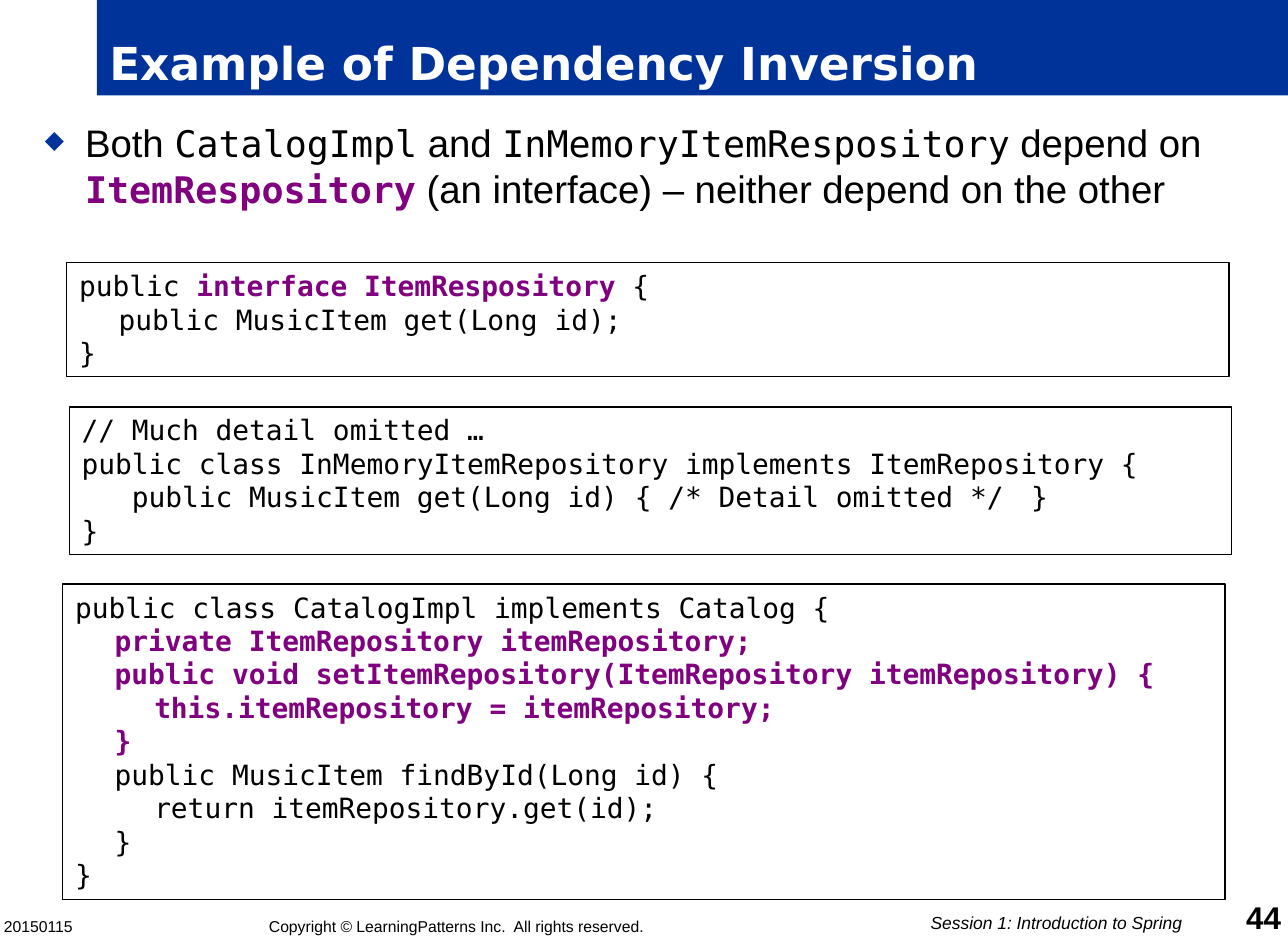
import dataclasses

import pptx
import pptx.dml.color
import pptx.enum.shapes
import pptx.enum.text
import pptx.oxml
import pptx.oxml.ns
import pptx.slide
import pptx.text.text
import pptx.util

Cm = pptx.util.Cm
Align = pptx.enum.text.PP_ALIGN
Anchor = pptx.enum.text.MSO_ANCHOR
Color = pptx.dml.color.RGBColor

BLUE = Color(0x00, 0x33, 0x99)
PURPLE = Color(0x80, 0x00, 0x80)
BLACK = Color(0x00, 0x00, 0x00)
WHITE = Color(0xFF, 0xFF, 0xFF)

SANS = "Arial"
HEAD = "DejaVu Sans"
MONO = "DejaVu Sans Mono"

CODE_WIDTH = 23.5
LINE_STEP = 0.68
CODE_PAD = 0.26
TAB_STEP = 0.8
TAB_STOPS = (1, 2, 24)


@dataclasses.dataclass(frozen=True)
class Style:
    face: str
    size: float
    tint: Color = BLACK
    bold: bool = False
    slant: bool = False


@dataclasses.dataclass(frozen=True)
class Run:
    text: str
    style: Style


@dataclasses.dataclass(frozen=True)
class Panel:
    left: float
    top: float
    lines: list[list[Run]]


@dataclasses.dataclass(frozen=True)
class Label:
    run: Run
    left: float
    top: float
    width: float
    height: float
    align: Align
    anchor: Anchor = Anchor.BOTTOM


PROSE = Style(SANS, 22)
TERM = Style(MONO, 21)
KEY_TERM = Style(MONO, 21, PURPLE, True)
CODE = Style(MONO, 16)
KEY_CODE = Style(MONO, 16, PURPLE, True)
SMALL = Style(SANS, 9)

TITLE = Run("Example of Dependency Inversion", Style(HEAD, 26, WHITE, True))

POINT = [
    Run("Both ", PROSE),
    Run("CatalogImpl", TERM),
    Run(" and ", PROSE),
    Run("InMemoryItemRespository", TERM),
    Run(" depend on ", PROSE),
    Run("ItemRespository", KEY_TERM),
    Run(" (an interface) – neither depend on the other", PROSE),
]


def code(*lines: str, style: Style = CODE) -> list[list[Run]]:
    return [[Run(line, style)] for line in lines]


PANELS = [
    Panel(1.35, 5.31, [
        [Run("public ", CODE), Run("interface ItemRespository", KEY_CODE), Run(" {", CODE)],
        *code("\tpublic MusicItem get(Long id);", "}"),
    ]),
    Panel(1.4, 8.23, code(
        "// Much detail omitted …",
        "public class InMemoryItemRepository implements ItemRepository {",
        "   public MusicItem get(Long id) { /* Detail omitted */\t}",
        "}",
    )),
    Panel(1.27, 11.81, [
        *code("public class CatalogImpl implements Catalog {"),
        *code(
            "\tprivate ItemRepository itemRepository;",
            "\tpublic void setItemRepository(ItemRepository itemRepository) {",
            "\t\tthis.itemRepository = itemRepository;",
            "\t}",
            style=KEY_CODE,
        ),
        *code(
            "\tpublic MusicItem findById(Long id) {",
            "\t\treturn itemRepository.get(id);",
            "\t}",
            "}",
        ),
    ]),
]

LABELS = [
    Label(Run("Session 1: Introduction to Spring", Style(SANS, 10, slant=True)),
          18.08, 18.44, 6.55, 0.58, Align.CENTER, Anchor.TOP),
    Label(Run("20150115", SMALL), 0.08, 18.29, 2.62, 0.64, Align.LEFT),
    Label(Run("Copyright © LearningPatterns Inc.  All rights reserved.", SMALL),
          3.51, 18.29, 11.43, 0.64, Align.CENTER),
    Label(Run("44", Style(SANS, 18, bold=True)), 24.38, 18.29, 1.52, 0.64, Align.RIGHT),
]


def set_font(font: pptx.text.text.Font, style: Style) -> None:
    font.name = style.face
    font.size = pptx.util.Pt(style.size)
    font.bold = style.bold
    font.italic = style.slant
    font.color.rgb = style.tint


def write(para, runs: list[Run], align: Align = Align.LEFT) -> None:
    para.alignment = align
    same = len({run.style for run in runs}) == 1
    for item in runs:
        run = para.add_run()
        run.text = item.text
        if not same:
            set_font(run.font, item.style)
    if same:
        set_font(para.font, runs[0].style)


def add_xml(para, *parts: str) -> None:
    props = para._p.get_or_add_pPr()
    space = pptx.oxml.ns.nsdecls("a")
    for part in parts:
        props.append(pptx.oxml.parse_xml(part.replace(" ", f" {space} ", 1)))


def add_rect(slide: pptx.slide.Slide, left: float, top: float,
             width: float, height: float, fill: Color):
    rect = slide.shapes.add_shape(
        pptx.enum.shapes.MSO_SHAPE.RECTANGLE, Cm(left), Cm(top), Cm(width), Cm(height))
    rect.shadow.inherit = False
    rect.fill.solid()
    rect.fill.fore_color.rgb = fill
    rect.text_frame.word_wrap = True
    return rect


def add_title(slide: pptx.slide.Slide) -> None:
    rect = add_rect(slide, 1.96, 0, 24.08, 1.93, BLUE)
    rect.line.fill.background()
    rect.text_frame.vertical_anchor = Anchor.BOTTOM
    write(rect.text_frame.paragraphs[0], [TITLE])


def add_point(slide: pptx.slide.Slide) -> None:
    box = slide.shapes.add_textbox(Cm(0.66), Cm(2.29), Cm(24.74), Cm(2.16))
    box.text_frame.word_wrap = True
    para = box.text_frame.paragraphs[0]
    props = para._p.get_or_add_pPr()
    props.set("marL", str(Cm(0.81)))
    props.set("indent", str(Cm(-0.81)))
    add_xml(para, f'<a:buClr ><a:srgbClr val="{BLUE}"/></a:buClr>',
            '<a:buSzPct val="65000"/>', '<a:buChar char="◆"/>')
    write(para, POINT)


def add_panel(slide: pptx.slide.Slide, panel: Panel) -> None:
    height = CODE_PAD + LINE_STEP * len(panel.lines)
    rect = add_rect(slide, panel.left, panel.top, CODE_WIDTH, height, WHITE)
    rect.line.color.rgb = BLACK
    rect.line.width = pptx.util.Pt(0.75)
    frame = rect.text_frame
    frame.vertical_anchor = Anchor.TOP
    frame.auto_size = pptx.enum.text.MSO_AUTO_SIZE.SHAPE_TO_FIT_TEXT
    stops = "".join(f'<a:tab pos="{Cm(TAB_STEP * stop)}" algn="l"/>' for stop in TAB_STOPS)
    for row, line in enumerate(panel.lines):
        para = frame.add_paragraph() if row else frame.paragraphs[0]
        if any("\t" in run.text for run in line):
            add_xml(para, f"<a:tabLst >{stops}</a:tabLst>")
        write(para, line)


def add_label(slide: pptx.slide.Slide, label: Label) -> None:
    box = slide.shapes.add_textbox(
        Cm(label.left), Cm(label.top), Cm(label.width), Cm(label.height))
    frame = box.text_frame
    frame.word_wrap = True
    frame.vertical_anchor = label.anchor
    frame.margin_left = frame.margin_right = frame.margin_top = frame.margin_bottom = 0
    write(frame.paragraphs[0], [label.run], label.align)


def main() -> None:
    deck = pptx.Presentation()
    deck.slide_width, deck.slide_height = Cm(26.04), Cm(19.05)
    slide = deck.slides.add_slide(deck.slide_layouts[6])
    add_title(slide)
    add_point(slide)
    for panel in PANELS:
        add_panel(slide, panel)
    for label in LABELS:
        add_label(slide, label)
    deck.save("out.pptx")


if __name__ == "__main__":
    main()
